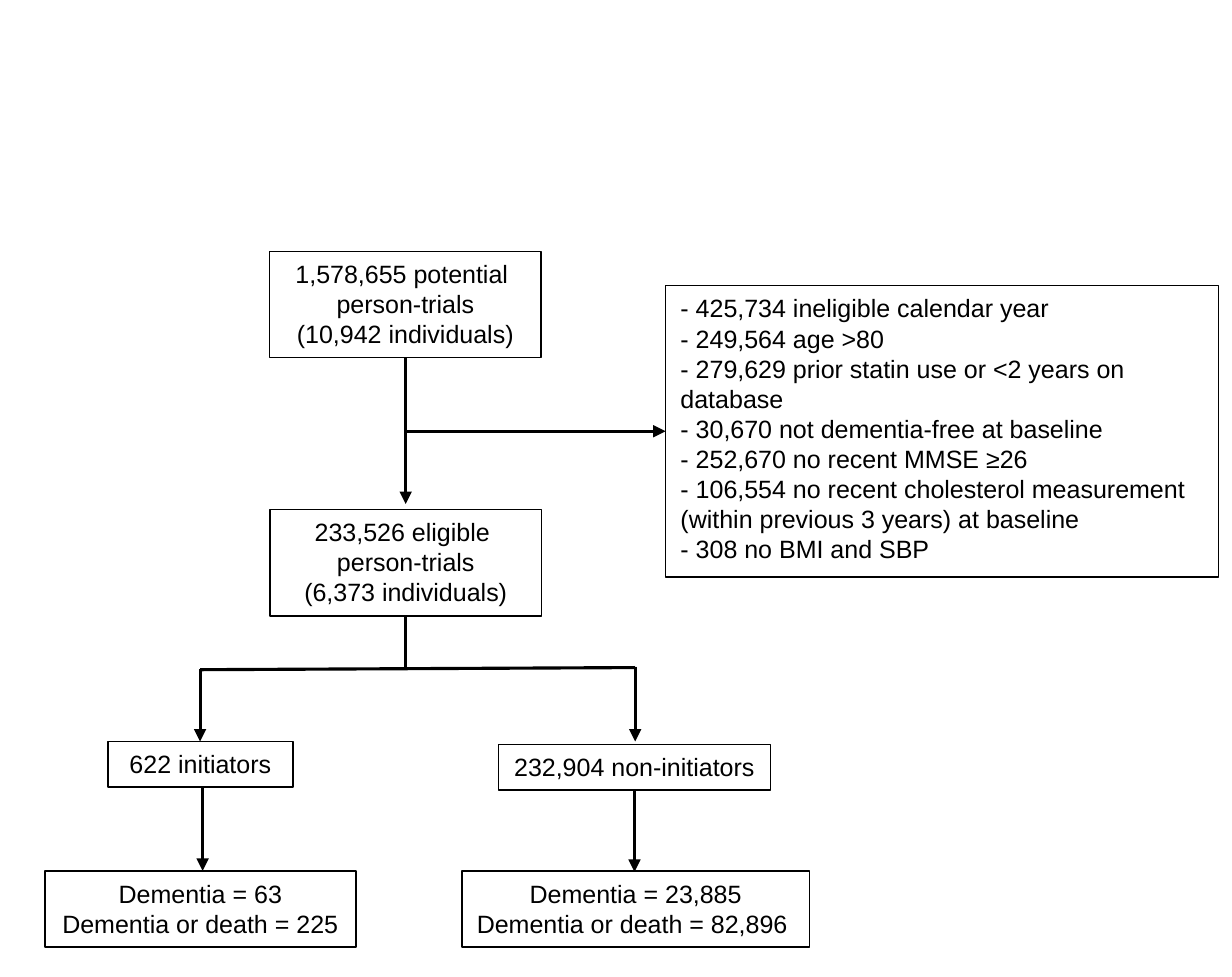
"""Build a flow chart of person-trials from eligibility to dementia outcomes."""
from dataclasses import dataclass

from lxml.etree import SubElement
from pptx import Presentation
from pptx.dml.color import RGBColor
from pptx.enum.shapes import MSO_CONNECTOR as Connector, MSO_SHAPE as Shape
from pptx.enum.text import MSO_ANCHOR as Anchor, MSO_AUTO_SIZE as AutoSize, PP_ALIGN as Align
from pptx.oxml.ns import qn
from pptx.util import Pt


@dataclass(frozen=True)
class Theme:
    ink: RGBColor = RGBColor(0, 0, 0)
    paper: RGBColor = RGBColor(255, 255, 255)
    font: str = "Arial"
    text_size: float = 12
    border: float = 0.75
    arrow: float = 1.5


theme = Theme()


def add_box(slide, bounds, lines, centred=True):
    shape = slide.shapes.add_shape(Shape.RECTANGLE, *map(Pt, bounds))
    shape.shadow.inherit = False
    shape.fill.solid()
    shape.fill.fore_color.rgb = theme.paper
    shape.line.color.rgb = theme.ink
    shape.line.width = Pt(theme.border)
    frame = shape.text_frame
    frame.word_wrap = True
    frame.auto_size = AutoSize.SHAPE_TO_FIT_TEXT if centred else AutoSize.NONE
    frame.vertical_anchor = Anchor.TOP
    frame.margin_left = frame.margin_right = Pt(5 if centred else 7.2)
    for index, line in enumerate(lines):
        paragraph = frame.add_paragraph() if index else frame.paragraphs[0]
        paragraph.alignment = Align.CENTER if centred else Align.LEFT
        run = paragraph.add_run()
        run.text = line
        run.font.name = theme.font
        run.font.size = Pt(theme.text_size)
        run.font.color.rgb = theme.ink


def add_line(slide, start, end, arrowhead):
    connector = slide.shapes.add_connector(Connector.STRAIGHT, *map(Pt, start + end))
    connector.line.color.rgb = theme.ink
    connector.line.width = Pt(theme.arrow)
    if arrowhead:
        SubElement(connector.line._get_or_add_ln(), qn("a:tailEnd"), type="triangle")
    SubElement(connector._element.spPr, qn("a:effectLst"))


presentation = Presentation()
presentation.slide_width, presentation.slide_height = Pt(590.4), Pt(468)
slide = presentation.slides.add_slide(presentation.slide_layouts[6])

flow_boxes = [
    ((129.2, 120.4, 130.2, 51),
     ["1,578,655 potential ", "person-trials", "(10,942 individuals)"]),
    ((129.4, 244, 130.2, 51),
     ["233,526 eligible ", "person-trials", "(6,373 individuals)"]),
    ((51.8, 355.2, 88.6, 21.8), ["622 initiators"]),
    ((239, 356.6, 130.2, 21.8), ["232,904 non-initiators"]),
    ((21.6, 417.2, 149, 36.4), ["Dementia = 63", "Dementia or death = 225"]),
    ((221.4, 417.2, 166.6, 36.4), ["Dementia = 23,885", "Dementia or death = 82,896 "]),
]
for bounds, lines in flow_boxes:
    add_box(slide, bounds, lines)

exclusions = [
    "- 425,734 ineligible calendar year",
    "- 249,564 age >80",
    "- 279,629 prior statin use or <2 years on database",
    "- 30,670 not dementia-free at baseline",
    "- 252,670 no recent MMSE ≥26",
    "- 106,554 no recent cholesterol measurement (within previous 3 years) at baseline",
    "- 308 no BMI and SBP",
]
add_box(slide, (319, 136.8, 265, 139.7), exclusions, centred=False)

trunk, initiators, non_initiators = 194.4, 95.9, 304.4
arrows = [
    ((trunk, 171.4), (trunk, 241.4)),
    ((trunk, 206.6), (319, 206.6)),
    ((initiators, 320.6), (initiators, 355.2)),
    ((non_initiators, 319.4), (non_initiators, 355.2)),
    ((97.1, 377), (97.1, 417.2)),
    ((304.1, 378.2), (304.1, 417.6)),
]
branches = [
    ((trunk, 294.8), (trunk, 320.4)),
    ((non_initiators, 319.8), (initiators, 320.8)),
]
for segments, arrowhead in ((arrows, True), (branches, False)):
    for start, end in segments:
        add_line(slide, start, end, arrowhead)

presentation.save("out.pptx")
